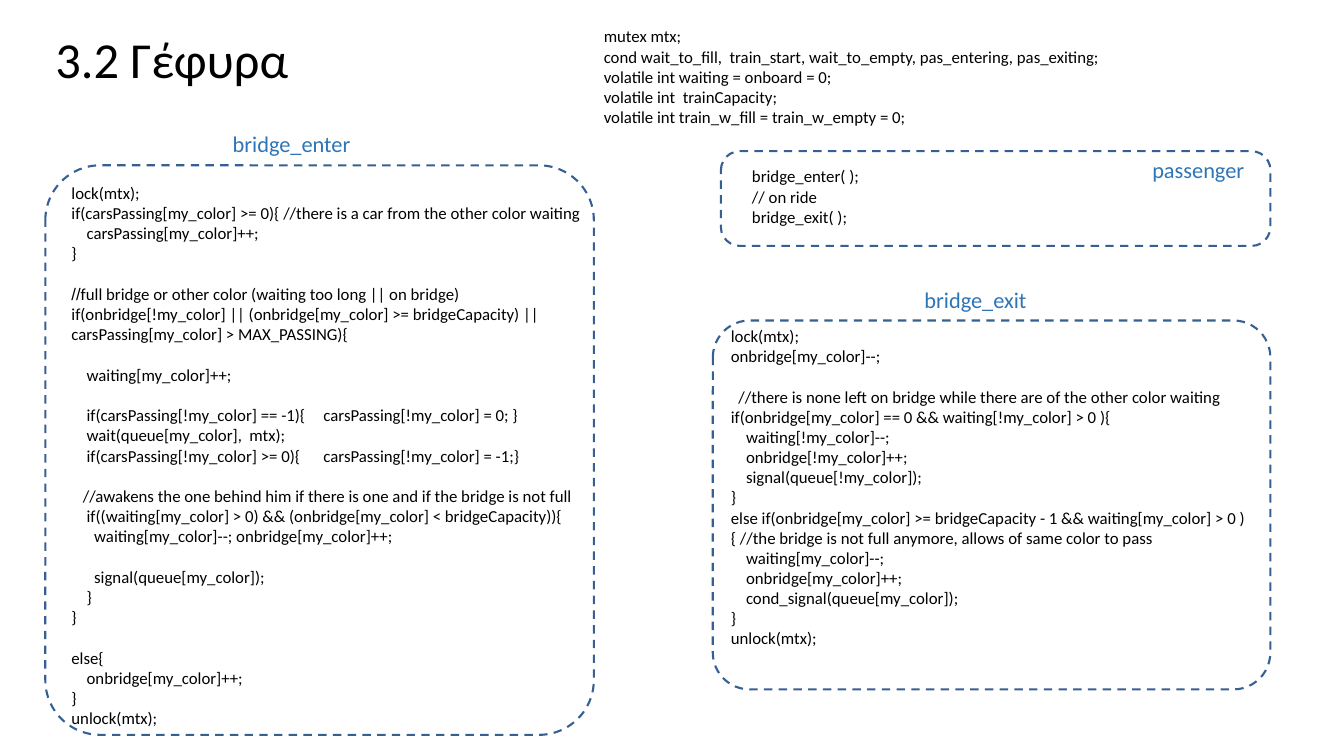
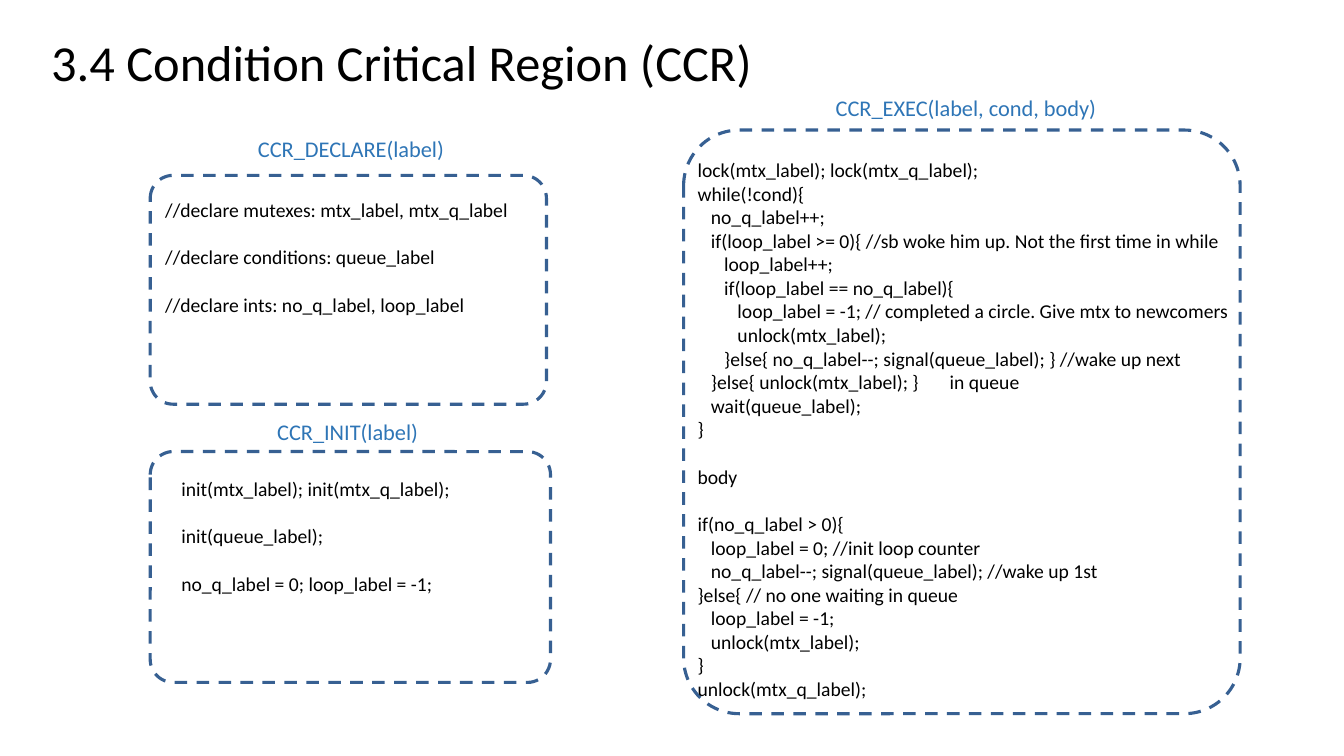
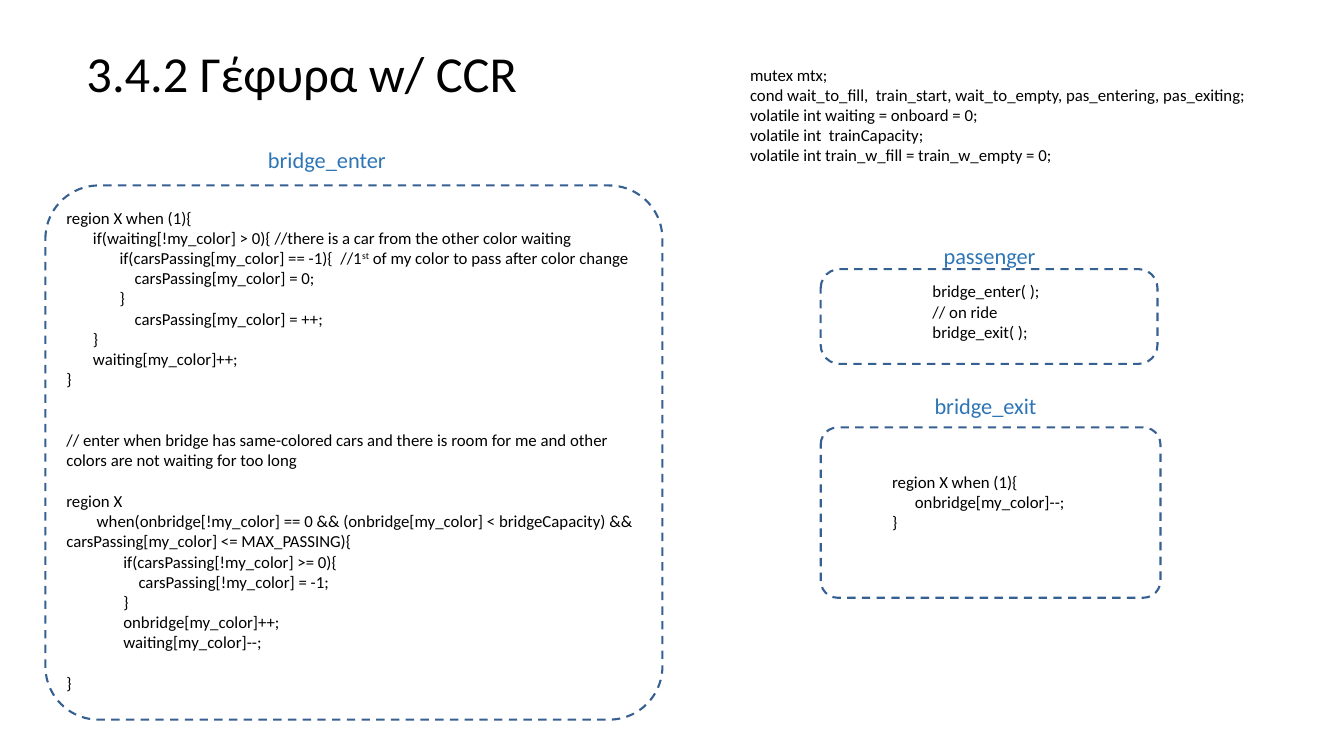
"""Build three slides of pseudocode for the bridge and CCR exercises."""
from pptx import Presentation
from pptx.dml.color import RGBColor
from pptx.enum.dml import MSO_LINE
from pptx.enum.shapes import MSO_SHAPE
from pptx.enum.text import MSO_ANCHOR
from pptx.oxml.ns import qn
from pptx.util import Inches, Pt
from lxml.etree import SubElement

INK = RGBColor(0x00, 0x00, 0x00)
BLUE = RGBColor(0x2E, 0x75, 0xB6)
EDGE = RGBColor(0x37, 0x60, 0x92)
FACE = "Calibri"
SPACE = 0.226
LEAD = 1.22

VARS = """
mutex mtx;
cond wait_to_fill,  train_start, wait_to_empty, pas_entering, pas_exiting;
volatile int waiting = onboard = 0;
volatile int  trainCapacity;
volatile int train_w_fill = train_w_empty = 0;
"""

RIDE = """
bridge_enter( );
// on ride
bridge_exit( );
"""

ENTER = """
lock(mtx);
if(carsPassing[my_color] >= 0){ //there is a car from the other color waiting
    carsPassing[my_color]++;
}

^//^full bridge or other color (waiting too long || on bridge)
if(onbridge[!my_color] || (onbridge[my_color] >= bridgeCapacity) || carsPassing[my_color] > MAX_PASSING){

    waiting[my_color]++;

    if(carsPassing[!my_color] == -1){\tcarsPassing[!my_color] = 0; }
    wait(queue[my_color],  mtx);
    if(carsPassing[!my_color] >= 0){\tcarsPassing[!my_color] = -1;}

   //awakens the one behind him if there is one and if the bridge is not full
    if((waiting[my_color] > 0) && (onbridge[my_color] < bridgeCapacity)){
      waiting[my_color]--; onbridge[my_color]++;

      signal(queue[my_color]);
    }
}

else{
    onbridge[my_color]++;
}
unlock(mtx);
"""

EXIT = """
lock(mtx);
onbridge[my_color]--;

  //there is none left on bridge while there are of the other color waiting
if(onbridge[my_color] == 0 && waiting[!my_color] > 0 ){
    waiting[!my_color]--;
    onbridge[!my_color]++;
    signal(queue[!my_color]);
}
else if(onbridge[my_color] >= bridgeCapacity - 1 && waiting[my_color] > 0 ){ //the bridge is not full anymore, allows of same color to pass
    waiting[my_color]--;
    onbridge[my_color]++;
    cond_signal(queue[my_color]);
}
unlock(mtx);
"""

DECLARE = """
//declare mutexes: mtx_label, mtx_q_label

//declare conditions: queue_label

//declare ints: no_q_label, loop_label
"""

INIT = """
init(mtx_label); init(mtx_q_label);

init(queue_label);

no_q_label = 0; loop_label = -1;
"""

EXEC = """
lock(mtx_label); lock(mtx_q_label);
while(!cond){
   no_q_label++;
   if(loop_label >= 0){ //sb woke him up. Not the first time in while
      loop_label++;
      if(loop_label == no_q_label){
         loop_label = -1; // completed a circle. Give mtx to newcomers
         unlock(mtx_label);
      }else{ no_q_label--; signal(queue_label); } //wake up next
   }else{ unlock(mtx_label); }\tin queue
   wait(queue_label);
}

body

if(no_q_label > 0){
   loop_label = 0; //init loop counter
   no_q_label--; signal(queue_label); //wake up 1st
}else{ // no one waiting in queue
   loop_label = -1;
   unlock(mtx_label);
}
unlock(mtx_q_label);
"""

ENTER_CCR = """
region X when (1){
       if(waiting[!my_color] > 0){ //there is a car from the other color waiting
              if(carsPassing[my_color] == -1){  //1^st^ of my color to pass after color change
                  carsPassing[my_color] = 0;
              }
                  carsPassing[my_color] = ++;
       }
       waiting[my_color]++;
}


// enter when bridge has same-colored cars and there is room for me and other colors are not waiting for too long

region X
        when(onbridge[!my_color] == 0 && (onbridge[my_color] < bridgeCapacity) && carsPassing[my_color] <= MAX_PASSING){
               if(carsPassing[!my_color] >= 0){
                   carsPassing[!my_color] = -1;
               }
               onbridge[my_color]++;
               waiting[my_color]--;

}
"""

EXIT_CCR = """
region X when (1){
      onbridge[my_color]--;
}
"""

SLIDES = [
    dict(title="3.2 Γέφυρα", at=(0.45, 0.33, 3.08, 0.58),
         size=12, edge=1.5, tab=2.52, vars_at=(5.89, 0.21, 6.37, 1.06),
         panels=[
             ("bridge_enter", (2.21, 1.24, 3.67, 0.4),
              (0.45, 1.64, 5.44, 5.65), (0.61, 1.76, 5.28, 5.57), ENTER),
             ("passenger", (11.33, 1.5, 1.49, 0.4),
              (7.15, 1.5, 5.45, 0.94), (7.36, 1.6, 1.71, 0.8), RIDE),
             ("bridge_exit", (9.07, 2.79, 1.45, 0.4),
              (7.07, 3.18, 5.53, 3.66), (7.15, 3.18, 5.45, 3.05), EXIT)]),
    dict(title="3.4 Condition Critical Region (CCR)",
         at=(0.41, 0.25, 7.44, 0.79),
         size=14, edge=2.25, tab=3.77, vars_at=None,
         panels=[
             ("CCR_DECLARE(label)", (2.46, 1.29, 2.3, 0.32),
              (1.49, 1.74, 3.93, 2.27), (1.54, 1.91, 3.88, 1.55), DECLARE),
             ("CCR_INIT(label)", (2.65, 4.1, 1.65, 0.28),
              (1.49, 4.48, 3.97, 2.29), (1.7, 4.68, 3.72, 2), INIT),
             ("CCR_EXEC(label, cond, body)", (8.19, 0.88, 3.13, 0.41),
              (6.78, 1.29, 5.52, 5.79), (6.82, 1.52, 5.48, 5.57), EXEC)]),
    dict(title="3.4.2 Γέφυρα w/ CCR", at=(0.76, 0.47, 5.13, 0.58),
         size=12, edge=1.5, tab=2.52, vars_at=(7.34, 0.59, 5.38, 2.84),
         panels=[
             ("bridge_enter", (2.56, 1.4, 3.67, 0.4),
              (0.45, 1.84, 6.12, 5.3), (0.56, 2.01, 5.91, 5.57), ENTER_CCR),
             ("passenger", (9.26, 2.35, 1.49, 0.4),
              (8.14, 2.67, 3.34, 0.94), (9.15, 2.74, 1.71, 0.8), RIDE),
             ("bridge_exit", (9.17, 3.84, 1.45, 0.4),
              (8.14, 4.24, 3.37, 1.69), (8.75, 4.63, 2.56, 1.3), EXIT_CCR)]),
]


def place(box):
    return [Inches(n) for n in box]


def add_frame(slide, box, edge):
    frame = slide.shapes.add_shape(MSO_SHAPE.ROUNDED_RECTANGLE, *place(box))
    frame.adjustments[0] = 0.2 if box[3] < 1 else 0.1
    frame.shadow.inherit = False
    frame.fill.background()
    frame.line.color.rgb = EDGE
    frame.line.width = Pt(edge)
    frame.line.dash_style = MSO_LINE.DASH


def add_runs(para, line):
    for i, part in enumerate(line.split("^")):
        if not part:
            continue
        run = para.add_run()
        run.text = part
        if i % 2 and part == "//":
            run.font.name = "Arial"
        elif i % 2:
            run.font._element.set("baseline", "30000")


def add_text(slide, box, text, size, color=INK, tab=None):
    """Turn leading spaces into indents and blank lines into spacing."""
    frame = slide.shapes.add_textbox(*place(box)).text_frame
    frame.word_wrap = True
    para, gap = None, 0
    for line in text.strip().split("\n"):
        if not line:
            gap += 1
            continue
        para = frame.add_paragraph() if para else frame.paragraphs[0]
        code = line.lstrip(" ")
        props = para._p.get_or_add_pPr()
        if code != line:
            depth = (len(line) - len(code)) * SPACE * size
            props.set("marL", "0")
            props.set("indent", str(Pt(depth)))
        if "\t" in code:
            stops = SubElement(props, qn("a:tabLst"))
            SubElement(stops, qn("a:tab"), pos=str(Inches(tab)), algn="l")
        if gap:
            para.space_before = Pt(round(gap * LEAD * size, 1))
            gap = 0
        para.font.name = FACE
        para.font.size = Pt(size)
        para.font.color.rgb = color
        add_runs(para, code)
    return frame


def add_title(slide, box, text):
    frame = add_text(slide, box, text, 36)
    frame.vertical_anchor = MSO_ANCHOR.MIDDLE
    frame.paragraphs[0].line_spacing = 0.9


deck = Presentation()
deck.slide_width, deck.slide_height = Inches(13.33), Inches(7.5)
for page in SLIDES:
    slide = deck.slides.add_slide(deck.slide_layouts[6])
    size = page["size"]
    add_title(slide, page["at"], page["title"])
    if page["vars_at"]:
        add_text(slide, page["vars_at"], VARS, size)
    for name, name_at, frame_at, code_at, code in page["panels"]:
        add_frame(slide, frame_at, page["edge"])
        add_text(slide, name_at, name, 16, BLUE)
        add_text(slide, code_at, code, size, tab=page["tab"])
deck.save("out.pptx")
